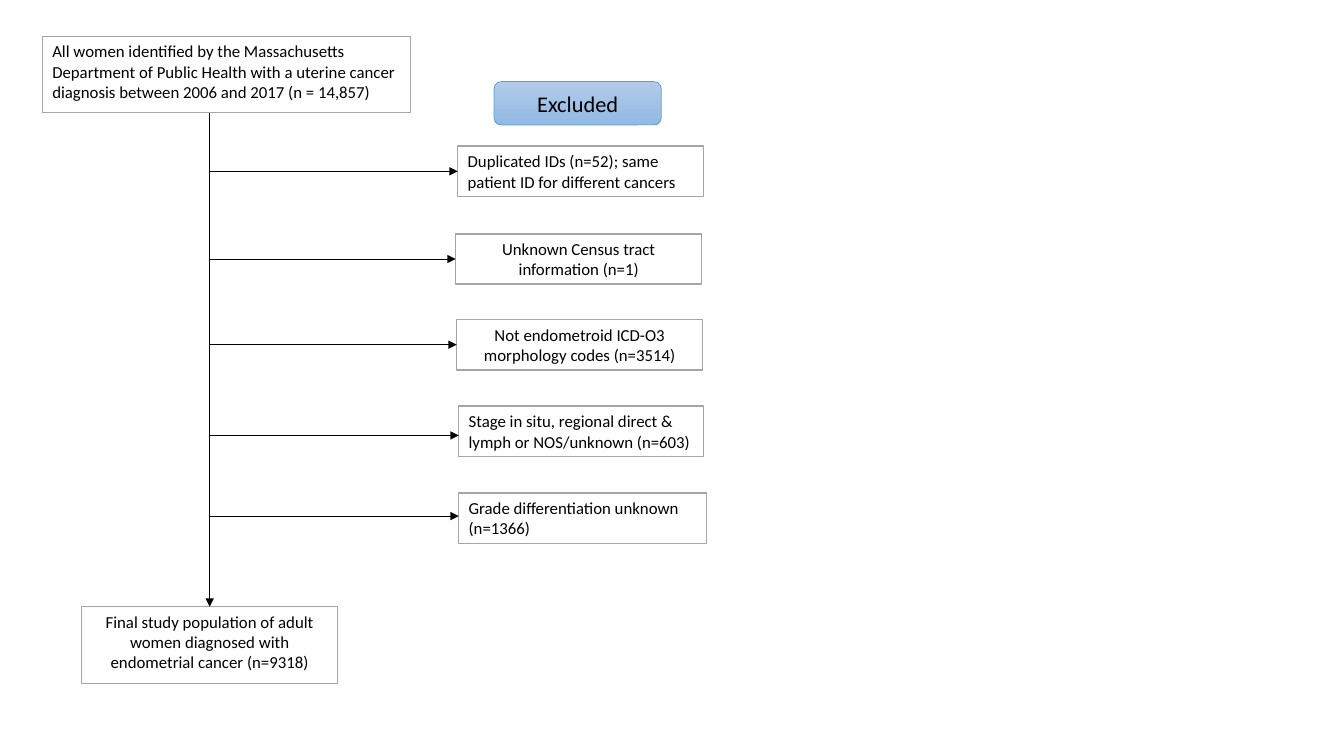
from dataclasses import dataclass

from lxml import etree
from pptx import Presentation
from pptx.dml.color import RGBColor
from pptx.enum.shapes import MSO_CONNECTOR, MSO_SHAPE
from pptx.enum.text import MSO_ANCHOR, PP_ALIGN
from pptx.oxml.ns import qn
from pptx.shapes.autoshape import Shape
from pptx.shapes.connector import Connector
from pptx.slide import Slide
from pptx.util import Emu, Inches, Pt

RECTANGLE, ROUNDED = MSO_SHAPE.RECTANGLE, MSO_SHAPE.ROUNDED_RECTANGLE
STRAIGHT = MSO_CONNECTOR.STRAIGHT
LEFT, CENTER = PP_ALIGN.LEFT, PP_ALIGN.CENTER
TOP, MIDDLE = MSO_ANCHOR.TOP, MSO_ANCHOR.MIDDLE
TOP_SITE, LEFT_SITE = 0, 1

COLORS = {
    "box": "FFFFFF",
    "border": "A5A5A5",
    "ink": "000000",
    "header_light": "B1CBE9",
    "header_dark": "93B9E4",
    "header_border": "5B9BD5",
}
FONT = "Calibri"
STEP_HEIGHT, EXCLUSION_HEIGHT = 0.76, 0.5


@dataclass(frozen=True)
class FlowBox:
    text: str
    left: float
    top: float
    width: float
    height: float = EXCLUSION_HEIGHT
    align: PP_ALIGN = LEFT
    arrow_top: float | None = None  # None: the arrow meets the middle of the side


START = FlowBox(
    "All women identified by the Massachusetts Department of Public Health "
    "with a uterine cancer diagnosis between 2006 and 2017 (n = 14,857)",
    0.42, 0.36, 3.65, STEP_HEIGHT)
FINAL = FlowBox(
    "Final study population of adult women diagnosed with "
    "endometrial cancer (n=9318)",
    0.81, 6.02, 2.54, STEP_HEIGHT, CENTER)
HEADER = FlowBox("Excluded", 4.9, 0.81, 1.66, 0.43, CENTER)
EXCLUSIONS = [
    FlowBox("Duplicated IDs (n=52); same patient ID for different cancers",
            4.54, 1.45, 2.44),
    FlowBox("Unknown Census tract information (n=1)",
            4.52, 2.32, 2.44, align=CENTER),
    FlowBox("Not endometroid ICD-O3 morphology codes (n=3514)",
            4.53, 3.17, 2.44, align=CENTER),
    FlowBox("Stage in situ, regional direct & lymph or NOS/unknown (n=603)",
            4.55, 4.03, 2.43, arrow_top=4.32),
    FlowBox("Grade differentiation unknown (n=1366)",
            4.55, 4.89, 2.46, arrow_top=5.12),
]


def color(name: str) -> RGBColor:
    return RGBColor.from_string(COLORS[name])


def add_box(page: Slide, item: FlowBox, kind: MSO_SHAPE = RECTANGLE,
            size: int = 12, anchor: MSO_ANCHOR = TOP) -> Shape:
    box = page.shapes.add_shape(kind, Inches(item.left), Inches(item.top),
                                Inches(item.width), Inches(item.height))
    box.shadow.inherit = False
    box.fill.solid()
    box.fill.fore_color.rgb = color("box")
    box.line.color.rgb = color("border")
    box.line.width = Pt(1)
    frame = box.text_frame
    frame.word_wrap = True
    frame.vertical_anchor = anchor
    para = frame.paragraphs[0]
    para.alignment = item.align
    span = para.add_run()
    span.text = item.text
    for name, value in {"name": FONT, "size": Pt(size)}.items():
        setattr(span.font, name, value)
    span.font.color.rgb = color("ink")
    return box


def add_header(page: Slide) -> None:
    header = add_box(page, HEADER, ROUNDED, 16, MIDDLE)
    header.fill.gradient()
    header.fill.gradient_angle = 270
    for stop, name in zip(header.fill.gradient_stops,
                          ("header_light", "header_dark")):
        stop.color.rgb = color(name)
    header.line.color.rgb = color("header_border")
    header.line.width = Pt(0.5)


def add_arrow(page: Slide, x1: Emu, y1: Emu, x2: Emu, y2: Emu) -> Connector:
    arrow = page.shapes.add_connector(STRAIGHT, x1, y1, x2, y2)
    arrow.line.color.rgb = color("ink")
    arrow.line.width = Pt(0.5)
    outline = arrow.line._get_or_add_ln()
    etree.SubElement(outline, qn("a:tailEnd"), type="triangle")
    etree.SubElement(arrow._element.spPr, qn("a:effectLst"))
    return arrow


def main() -> None:
    deck = Presentation()
    deck.slide_width, deck.slide_height = Inches(13.33), Inches(7.5)
    page = deck.slides.add_slide(deck.slide_layouts[6])

    start = add_box(page, START)
    final = add_box(page, FINAL)
    add_header(page)

    spine = Emu(final.left + final.width // 2)
    trunk = add_arrow(page, spine, Emu(start.top + start.height),
                      spine, final.top)
    trunk.end_connect(final, TOP_SITE)

    for item in EXCLUSIONS:
        box = add_box(page, item)
        joined = item.arrow_top is None
        level = Emu(box.top + box.height // 2) if joined else Inches(item.arrow_top)
        branch = add_arrow(page, spine, level, box.left, level)
        if joined:
            branch.end_connect(box, LEFT_SITE)

    deck.save("out.pptx")


if __name__ == "__main__":
    main()
